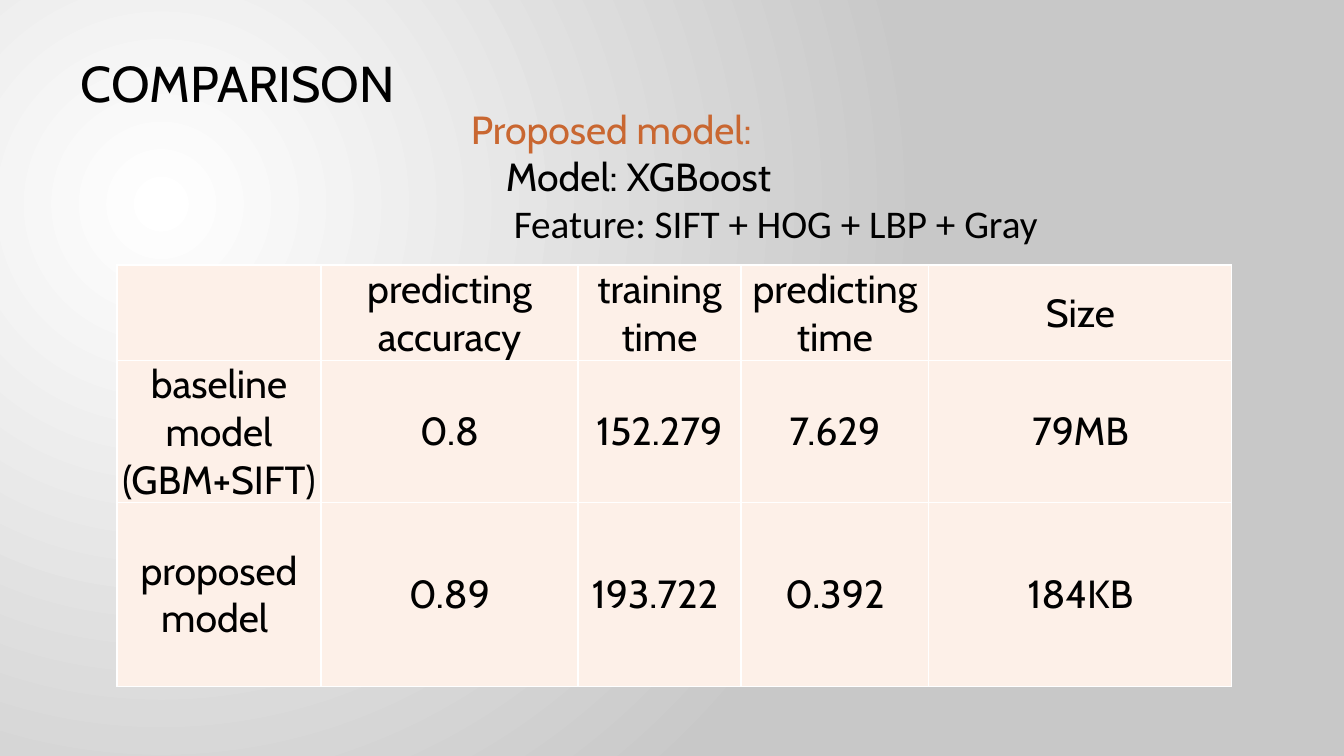
import dataclasses

import pptx
import pptx.dml.color
import pptx.enum.text
import pptx.oxml
import pptx.oxml.ns
import pptx.util

RGB = pptx.dml.color.RGBColor.from_string
ALIGN = pptx.enum.text.PP_ALIGN
ANCHOR = pptx.enum.text.MSO_ANCHOR
SIZING = pptx.enum.text.MSO_AUTO_SIZE


@dataclasses.dataclass(frozen=True)
class Theme:
    ink: str = "000000"
    accent: str = "C96731"
    cell: str = "FDF0E8"
    rule: str = "FFFFFF"
    inner: str = "FFFFFF"
    outer: str = "C8C8C8"
    face: str = "Cabin"
    plain: str = "Calibri"
    title: int = 36
    body: int = 28


THEME = Theme()
COLS = [204, 257, 163, 188, 303]
ROWS = [95, 141, 184]
DATA = [
    ["", "predicting accuracy", "training time", "predicting time", "Size"],
    ["baseline model (GBM+SIFT)", "0.8", "152.279", "7.629", "79MB"],
    ["proposed model ", "0.89", "193.722 ", "0.392", "184KB"],
]


def px(count):
    return pptx.util.Emu(round(count * 914400 / 100.8))


def apply(item, values):
    for name, value in values.items():
        setattr(item, name, value)


def style(font, size, color=THEME.ink, face=THEME.face):
    apply(font, {"size": pptx.util.Pt(size), "name": face})
    font.color.rgb = RGB(color)


def paint(slide):
    """Fill the background with a circular gradient centred at the upper left."""
    fill = slide.background.fill
    fill.gradient()
    for stop, color, place in zip(fill.gradient_stops, (THEME.inner, THEME.outer), (0, 1)):
        stop.color.rgb = RGB(color)
        stop.position = place
    grad = slide.element.find(".//" + pptx.oxml.ns.qn("a:gradFill"))
    grad.replace(grad.find(pptx.oxml.ns.qn("a:lin")), pptx.oxml.parse_xml(
        f'<a:path {pptx.oxml.ns.nsdecls("a")} path="circle">'
        '<a:fillToRect l="50000" t="55000" r="125000" b="100000"/></a:path>'))


def write(slide, box, lines, size):
    """Add a text box; each line is its text, left indent in px, colour and face."""
    frame = slide.shapes.add_textbox(*map(px, box)).text_frame
    apply(frame, {"word_wrap": False, "auto_size": SIZING.SHAPE_TO_FIT_TEXT})
    for index, (text, indent, color, face) in enumerate(lines):
        para = frame.add_paragraph() if index else frame.paragraphs[0]
        para.text = text
        if indent:
            para._p.get_or_add_pPr().set("marL", str(px(indent)))
        style(para.runs[0].font, size, color, face)


def edge(cell):
    """Draw a one-point line on all four sides of a cell."""
    props = cell._tc.get_or_add_tcPr()
    for index, side in enumerate(("lnL", "lnR", "lnT", "lnB")):
        props.insert(index, pptx.oxml.parse_xml(
            f'<a:{side} {pptx.oxml.ns.nsdecls("a")} w="12700"><a:solidFill>'
            f'<a:srgbClr val="{THEME.rule}"/></a:solidFill></a:{side}>'))


def grid(slide, left, top):
    table = slide.shapes.add_table(
        len(ROWS), len(COLS), px(left), px(top), px(sum(COLS)), px(sum(ROWS))).table
    apply(table, {"first_row": False, "horz_banding": False})
    for col, width in zip(table.columns, COLS):
        col.width = px(width)
    for row, height, texts in zip(table.rows, ROWS, DATA):
        row.height = px(height)
        for cell, text in zip(row.cells, texts):
            apply(cell, {"text": text, "vertical_anchor": ANCHOR.MIDDLE,
                         "margin_left": px(1), "margin_right": px(1),
                         "margin_top": px(1), "margin_bottom": 0})
            cell.fill.solid()
            cell.fill.fore_color.rgb = RGB(THEME.cell)
            para = cell.text_frame.paragraphs[0]
            para.alignment = ALIGN.CENTER
            style(para.font, THEME.body)
            for run in para.runs:
                style(run.font, THEME.body)
            edge(cell)


def main():
    deck = pptx.Presentation()
    apply(deck, {"slide_width": px(1344), "slide_height": px(756)})
    slide = deck.slides.add_slide(deck.slide_layouts[6])
    paint(slide)
    write(slide, (71, 47, 343, 72),
          [("COMPARISON", 0, THEME.ink, THEME.face)], THEME.title)
    write(slide, (461, 100, 604, 183), [
        ("Proposed model:", 0, THEME.accent, THEME.face),
        ("Model: XGBoost", 35, THEME.ink, THEME.face),
        ("Feature: SIFT + HOG + LBP + Gray", 43, THEME.ink, THEME.plain),
    ], THEME.body)
    grid(slide, 117, 265)
    deck.save("out.pptx")


if __name__ == "__main__":
    main()
